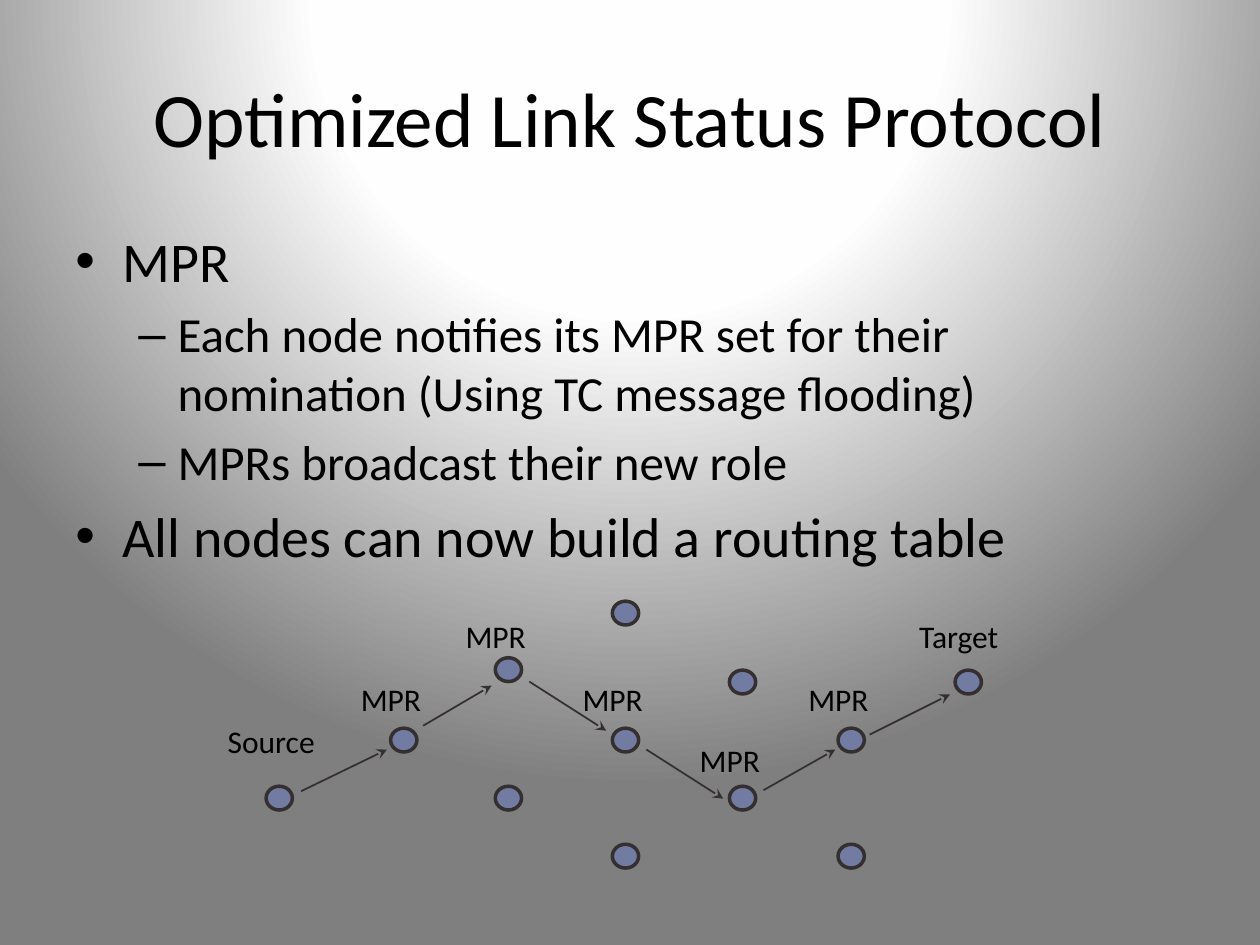
import lxml.etree
import pptx
import pptx.dml.color
import pptx.enum.shapes
import pptx.enum.text
import pptx.oxml.ns
import pptx.util

Cm, Pt = pptx.util.Cm, pptx.util.Pt
qn = pptx.oxml.ns.qn
PP_ALIGN = pptx.enum.text.PP_ALIGN
ANCHOR = pptx.enum.text.MSO_ANCHOR
SubElement = lxml.etree.SubElement
COLORS = {"text": "000000", "node": "727CA3", "line": "35302F",
          "bg_inner": "FFFFFF", "bg_mid": "FEFEFE", "bg_outer": "7F7F7F"}


def rgb(name):
    return pptx.dml.color.RGBColor.from_string(COLORS[name])


def add_text(s, box, lines, sizes, align, anchor, inset):
    """Add a text box with one paragraph per line and return its text frame."""
    tf = s.shapes.add_textbox(*[Cm(v) for v in box]).text_frame
    tf.vertical_anchor = anchor
    tf.margin_left = tf.margin_right = Cm(inset)
    tf.margin_top = tf.margin_bottom = Cm(inset / 2)
    tf.text = "\n".join(lines)
    for p, size in zip(tf.paragraphs, sizes):
        p.alignment = align
        font = p.runs[0].font
        font.name, font.size = "Calibri", Pt(size)
        font.color.rgb = rgb("text")
    return tf


prs = pptx.Presentation()
prs.slide_width, prs.slide_height = Cm(25.4), Cm(19.05)
s = prs.slides.add_slide(prs.slide_layouts[6])

# Radial background centred above the slide
s.background.fill.gradient()
grad = s.background._cSld.find(".//" + qn("a:gradFill"))
for child in list(grad):
    grad.remove(child)
stops = SubElement(grad, qn("a:gsLst"))
for percent, name in ((0, "bg_inner"), (40, "bg_mid"), (100, "bg_outer")):
    gs = SubElement(stops, qn("a:gs"), pos=str(percent * 1000))
    SubElement(gs, qn("a:srgbClr"), val=COLORS[name])
circle = SubElement(grad, qn("a:path"), path="circle")
SubElement(circle, qn("a:fillToRect"), l="50000", t="-80000", r="50000", b="180000")

# Title and bullets
tf = add_text(s, (1.27, 0.76, 22.86, 3.18), ["Optimized Link Status Protocol"], [44],
              PP_ALIGN.CENTER, ANCHOR.MIDDLE, 0.25)
tf.word_wrap = True

bullets = [
    (0, "MPR"),
    (1, "Each node notifies its MPR set for their nomination (Using TC message flooding)"),
    (1, "MPRs broadcast their new role"),
    (0, "All nodes can now build a routing table"),
]
# size, left margin, hanging indent, bullet character
levels = [(32, 0.95, 0.95, "•"), (28, 2.06, 0.79, "–")]
tf = add_text(s, (1.27, 4.45, 22.86, 12.57), [text for _, text in bullets],
              [levels[level][0] for level, _ in bullets],
              PP_ALIGN.LEFT, ANCHOR.TOP, 0.25)
tf.word_wrap = True
for p, (level, _) in zip(tf.paragraphs, bullets):
    size, margin, hanging, char = levels[level]
    p.level = level
    p.space_before = Pt(size * 0.2)
    pPr = p._p.get_or_add_pPr()
    pPr.set("marL", str(Cm(margin)))
    pPr.set("indent", str(-Cm(hanging)))
    SubElement(pPr, qn("a:buFont"), typeface="Arial")
    SubElement(pPr, qn("a:buChar"), char=char)

# Network nodes: centres
nodes = [
    (5.63, 16.09), (8.14, 14.92), (10.25, 13.75 - 0.25), (12.61, 14.92),
    (14.97, 16.09), (17.16, 14.92), (19.52, 13.75),
    (10.25, 16.09), (14.97, 13.75), (12.61, 12.36), (12.61, 17.26), (17.16, 17.26),
]
node_w, node_h = 0.53, 0.48
for x, y in nodes:
    sp = s.shapes.add_shape(pptx.enum.shapes.MSO_SHAPE.OVAL, Cm(x - node_w / 2),
                            Cm(y - node_h / 2), Cm(node_w), Cm(node_h))
    sp.shadow.inherit = False
    sp.fill.solid()
    sp.fill.fore_color.rgb = rgb("node")
    sp.line.color.rgb = rgb("line")
    sp.line.width = Pt(2)

# The first seven nodes form the route from source to target
names = ["Source"] + ["MPR"] * 5 + ["Target"]
label_tops = [14.45, 13.59, 12.32, 13.59, 14.83, 13.59, 12.32]
label_widths = {"Source": 2.08, "MPR": 1.73, "Target": 1.98}
for name, (x, _), top in zip(names, nodes, label_tops):
    width = label_widths[name]
    tf = add_text(s, (x - width / 2, top, width, 0.99), [name], [18],
                  PP_ALIGN.LEFT, ANCHOR.MIDDLE, 0)
    tf.word_wrap = False

arrows = [
    (6.07, 15.95, 7.8, 15.11), (8.53, 14.63, 9.91, 13.82),
    (10.67, 13.74, 12.22, 14.73), (13.03, 15.11, 14.58, 16.1),
    (15.39, 15.93, 16.84, 15.11), (17.53, 14.81, 19.15, 14.0),
]
for ends in arrows:
    line = s.shapes.add_connector(pptx.enum.shapes.MSO_CONNECTOR.STRAIGHT,
                                  *[Cm(v) for v in ends])
    line.line.color.rgb = rgb("line")
    line.line.width = Pt(1)
    SubElement(line.line._get_or_add_ln(), qn("a:tailEnd"), type="stealth")
    SubElement(line._element.spPr, qn("a:effectLst"))

prs.save("out.pptx")
